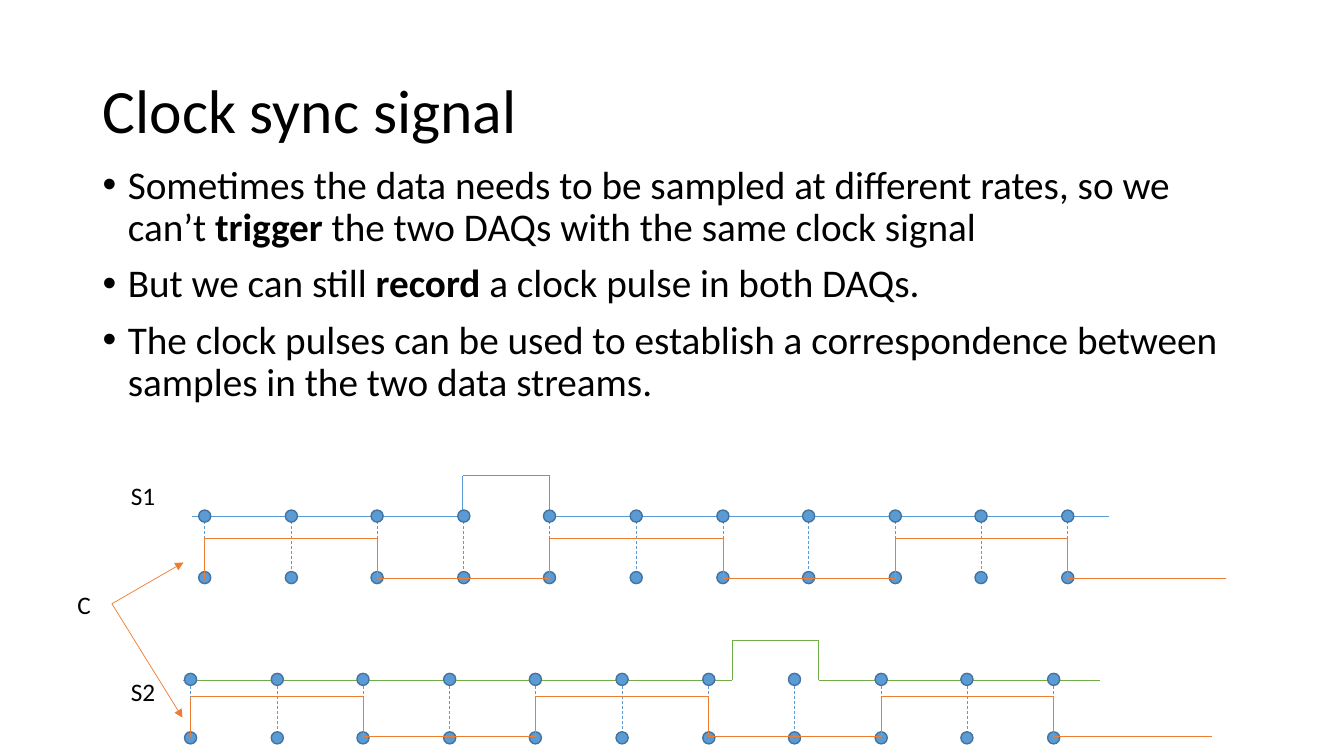
"""Builds the slide on clock sync signals for two DAQs sampled in parallel."""
from dataclasses import dataclass
from itertools import pairwise

from lxml import etree
from pptx import Presentation
from pptx.dml.color import RGBColor
from pptx.enum.dml import MSO_LINE
from pptx.enum.shapes import MSO_CONNECTOR, MSO_SHAPE
from pptx.enum.text import MSO_ANCHOR
from pptx.oxml.ns import qn
from pptx.util import Emu, Pt

STRAIGHT = MSO_CONNECTOR.STRAIGHT
ELLIPSE = MSO_SHAPE.OVAL
DASH = MSO_LINE.DASH
TOP, MIDDLE = MSO_ANCHOR.TOP, MSO_ANCHOR.MIDDLE

TITLE = "Clock sync signal"
BULLETS = [
    [("Sometimes the data needs to be sampled at different rates, so we can’t ", False),
     ("trigger", True), (" the two DAQs with the same clock signal", False)],
    [("But we can still ", False), ("record ", True),
     ("a clock pulse in both DAQs.", False)],
    [("The clock pulses can be used to establish a correspondence between "
      "samples in the two data streams.", False)],
]
LABELS = [("S1", 120, 472), ("S2", 120, 666), ("C", 67, 580)]
STREAMS = [
    dict(color="5B9BD5", first=203, upper=512, lower=573, dash_top=517,
         start=190, pulse=(459, 545), end=1100, base=512, high=534, low=574),
    dict(color="70AD47", first=189, upper=674, lower=732, dash_top=676,
         start=182, pulse=(726, 812), end=1091, base=675, high=691, low=731),
]
ARROW_START = (111, 599)
ARROW_ENDS = [(182, 558), (181, 712)]

PX = 9144
PAGE_SIZE = (1333, 750)
TITLE_BOX = (92, 40, 1150, 145)
BODY_BOX = (92, 159, 1150, 476)
LABEL_SIZE = (62, 40)
INDENT = 25
SAMPLES, SAMPLE_STEP = 11, 85.6
DOT = 12
PULSE_HEIGHT = 40
CLOCK_TAIL = 157


@dataclass(frozen=True)
class Theme:
    """Holds the colours, font and type sizes."""
    font: str = "Calibri"
    text: str = "000000"
    dot: str = "5B9BD5"
    dot_edge: str = "43739E"
    clock: str = "ED7D31"
    title_size: int = 44
    body_size: int = 28
    label_size: int = 18
    line_width: float = 0.5


THEME = Theme()


def px(*lengths):
    """Turns px into EMU."""
    return [Emu(round(length * PX)) for length in lengths]


def add_text(page, frame, paragraphs, size, anchor=TOP):
    """Adds a text box with one paragraph per list of (text, bold) spans."""
    box = page.shapes.add_textbox(*px(*frame))
    text_frame = box.text_frame
    text_frame.word_wrap = True
    text_frame.vertical_anchor = anchor
    text_frame.text = "\n".join("" for _ in paragraphs)
    for para, spans in zip(text_frame.paragraphs, paragraphs):
        for text, bold in spans:
            span = para.add_run()
            span.text = text
            span.font.bold = bold
            span.font.name = THEME.font
            span.font.size = Pt(size)
            span.font.color.rgb = RGBColor.from_string(THEME.text)
    return box


def add_bullet(para):
    """Gives a paragraph a hanging bullet."""
    indent = px(INDENT)[0]
    para.space_before = Pt(10)
    properties = para._p.get_or_add_pPr()
    properties.set("marL", str(indent))
    properties.set("indent", str(-indent))
    etree.SubElement(properties, qn("a:buFont"), typeface="Arial")
    etree.SubElement(properties, qn("a:buChar"), char="•")


def add_line(page, start, end, color, dash=None, arrow=False):
    """Adds a thin straight line."""
    line = page.shapes.add_connector(STRAIGHT, *px(*start, *end))
    line.line.color.rgb = RGBColor.from_string(color)
    line.line.width = Pt(THEME.line_width)
    if dash:
        line.line.dash_style = dash
    if arrow:
        etree.SubElement(line.line._get_or_add_ln(), qn("a:tailEnd"), type="triangle")
    etree.SubElement(line._element.spPr, qn("a:effectLst"))


def add_trace(page, points, color):
    """Joins successive points with lines."""
    for start, end in pairwise(points):
        add_line(page, start, end, color)


def add_dots(page, xs, y):
    """Adds a row of sample dots centred on y."""
    for x in xs:
        dot = page.shapes.add_shape(ELLIPSE, *px(x - DOT / 2, y - DOT / 2, DOT, DOT))
        dot.shadow.inherit = False
        dot.fill.solid()
        dot.fill.fore_color.rgb = RGBColor.from_string(THEME.dot)
        dot.line.color.rgb = RGBColor.from_string(THEME.dot_edge)
        dot.line.width = Pt(1)


def clock_points(xs, high, low):
    """Returns the clock wave, which toggles at every second sample."""
    points, level = [], low
    for x in xs[::2]:
        toggled = high if level == low else low
        points += [(x, level), (x, toggled)]
        level = toggled
    return points + [(xs[-1] + CLOCK_TAIL, level)]


def add_stream(page, stream):
    """Draws one data stream with its samples and recorded clock."""
    xs = [stream["first"] + round(i * SAMPLE_STEP) for i in range(SAMPLES)]
    rise, fall = stream["pulse"]
    base = stream["base"]
    top = base - PULSE_HEIGHT
    signal = [(stream["start"], base), (rise, base), (rise, top),
              (fall, top), (fall, base), (stream["end"], base)]
    add_trace(page, signal, stream["color"])
    for x in xs:
        add_line(page, (x, stream["dash_top"]), (x, stream["lower"]), THEME.dot, DASH)
    add_dots(page, xs, stream["lower"])
    add_dots(page, xs, stream["upper"])
    add_trace(page, clock_points(xs, stream["high"], stream["low"]), THEME.clock)


def main():
    """Builds and saves the deck."""
    deck = Presentation()
    deck.slide_width, deck.slide_height = px(*PAGE_SIZE)
    page = deck.slides.add_slide(deck.slide_layouts[6])
    title = add_text(page, TITLE_BOX, [[(TITLE, False)]], THEME.title_size, MIDDLE)
    title.text_frame.paragraphs[0].line_spacing = 0.9
    body = add_text(page, BODY_BOX, BULLETS, THEME.body_size)
    for para in body.text_frame.paragraphs:
        para.line_spacing = 0.9
        add_bullet(para)
    for text, left, top in LABELS:
        add_text(page, (left, top, *LABEL_SIZE), [[(text, False)]], THEME.label_size)
    for stream in STREAMS:
        add_stream(page, stream)
    for end in ARROW_ENDS:
        add_line(page, ARROW_START, end, THEME.clock, arrow=True)
    deck.save("out.pptx")


if __name__ == "__main__":
    main()
